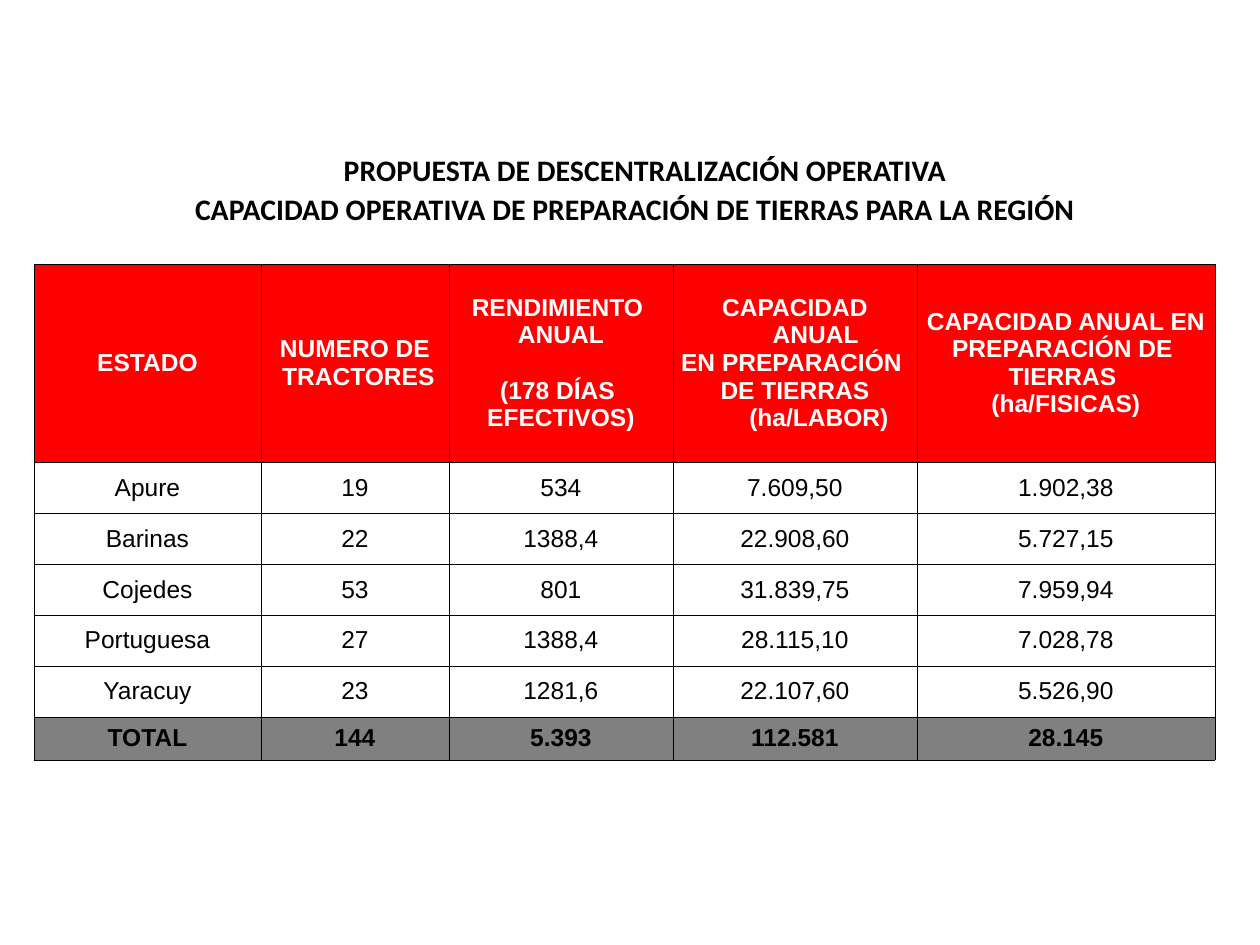
"""Build a slide with a table of land preparation capacity by state."""
from lxml.etree import SubElement
from pptx import Presentation
from pptx.dml.color import RGBColor
from pptx.enum.text import MSO_ANCHOR, MSO_AUTO_SIZE, PP_ALIGN
from pptx.oxml.ns import qn
from pptx.util import Pt

SCALE = 914400 / 126


def px(length):
    return round(length * SCALE)


def color(hex_string):
    return RGBColor.from_string(hex_string)


presentation = Presentation()
presentation.slide_width = px(1260)
presentation.slide_height = px(945)
slide = presentation.slides.add_slide(presentation.slide_layouts[5])

title = slide.shapes.title
title.left, title.top, title.width, title.height = px(243), px(145), px(804), px(49)
subtitle = slide.shapes.add_textbox(px(64), px(185), px(1142), px(49))
headings = [
    (title, "PROPUESTA DE DESCENTRALIZACIÓN OPERATIVA"),
    (subtitle, "CAPACIDAD OPERATIVA DE PREPARACIÓN DE TIERRAS PARA LA REGIÓN"),
]
for shape, text in headings:
    text_frame = shape.text_frame
    text_frame.text = text
    text_frame.word_wrap = True
    text_frame.auto_size = MSO_AUTO_SIZE.NONE
    text_frame.vertical_anchor = MSO_ANCHOR.TOP
    paragraph = text_frame.paragraphs[0]
    paragraph.alignment = PP_ALIGN.CENTER
    font = paragraph.runs[0].font
    font.name, font.size, font.bold = "Calibri", Pt(17), True
    font.color.rgb = color("000000")

rows = [
    [
        "ESTADO",
        "NUMERO DE\n TRACTORES",
        "RENDIMIENTO \nANUAL\n(178 DÍAS \nEFECTIVOS)",
        "CAPACIDAD ANUAL \nEN PREPARACIÓN \nDE TIERRAS (ha/LABOR)",
        "CAPACIDAD ANUAL EN \nPREPARACIÓN DE \nTIERRAS \n(ha/FISICAS)",
    ],
    ["Apure", "19", "534", "7.609,50", "1.902,38"],
    ["Barinas", "22", "1388,4", "22.908,60", "5.727,15"],
    ["Cojedes", "53", "801", "31.839,75", "7.959,94"],
    ["Portuguesa", "27", "1388,4", "28.115,10", "7.028,78"],
    ["Yaracuy", "23", "1281,6", "22.107,60", "5.526,90"],
    ["TOTAL", "144", "5.393", "112.581", "28.145"],
]
column_widths = [227, 188, 224, 244, 298]
row_heights = [198] + [51] * 5 + [43]
header_style = ("FF0000", "FFFFFF", True)
body_style = (None, "000000", False)
total_style = ("808080", "000000", True)
row_styles = [header_style] + [body_style] * 5 + [total_style]

table = slide.shapes.add_table(
    len(rows), len(column_widths), px(34), px(264), px(sum(column_widths)), px(sum(row_heights))
).table
for column, width in zip(table.columns, column_widths):
    column.width = px(width)

for row, height, texts, style in zip(table.rows, row_heights, rows, row_styles):
    row.height = px(height)
    fill_color, text_color, bold = style
    for cell, text in zip(row.cells, texts):
        cell.text_frame.text = text
        cell.vertical_anchor = MSO_ANCHOR.MIDDLE
        cell.margin_left = cell.margin_right = px(8)
        cell.margin_top = cell.margin_bottom = px(6)
        properties = cell._tc.get_or_add_tcPr()
        for side in ("a:lnL", "a:lnR", "a:lnT", "a:lnB"):
            border = SubElement(properties, qn(side), w=str(Pt(0.45)))
            border_fill = SubElement(border, qn("a:solidFill"))
            SubElement(border_fill, qn("a:srgbClr"), val="000000")
        if fill_color:
            cell.fill.solid()
            cell.fill.fore_color.rgb = color(fill_color)
        else:
            cell.fill.background()
        for paragraph in cell.text_frame.paragraphs:
            paragraph.alignment = PP_ALIGN.CENTER
            paragraph_properties = paragraph._p.get_or_add_pPr()
            paragraph_properties.set("marL", str(px(48)))
            paragraph_properties.set("indent", str(px(-48)))
            if paragraph.text.startswith("(178"):
                paragraph.space_before = Pt(16)
            font = paragraph.runs[0].font
            font.name, font.size, font.bold = "Arial", Pt(14), bold
            font.color.rgb = color(text_color)

presentation.save("out.pptx")
